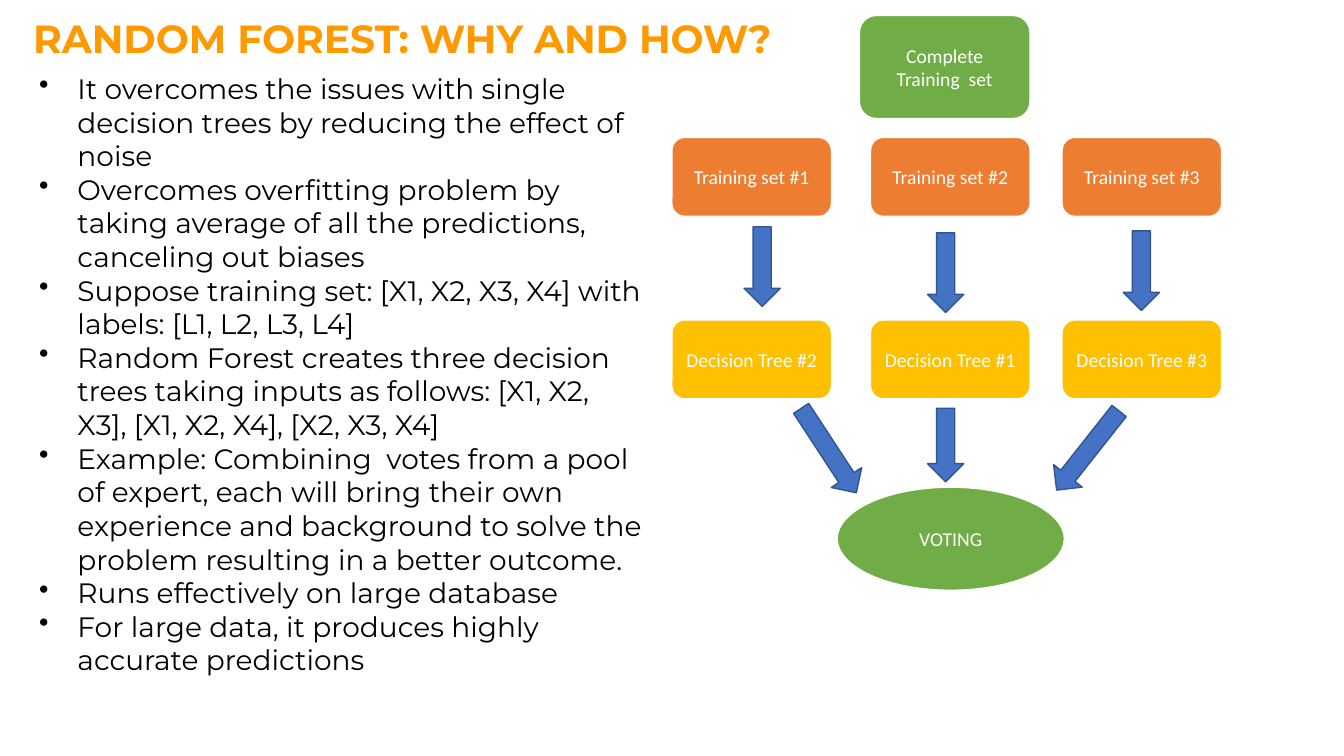
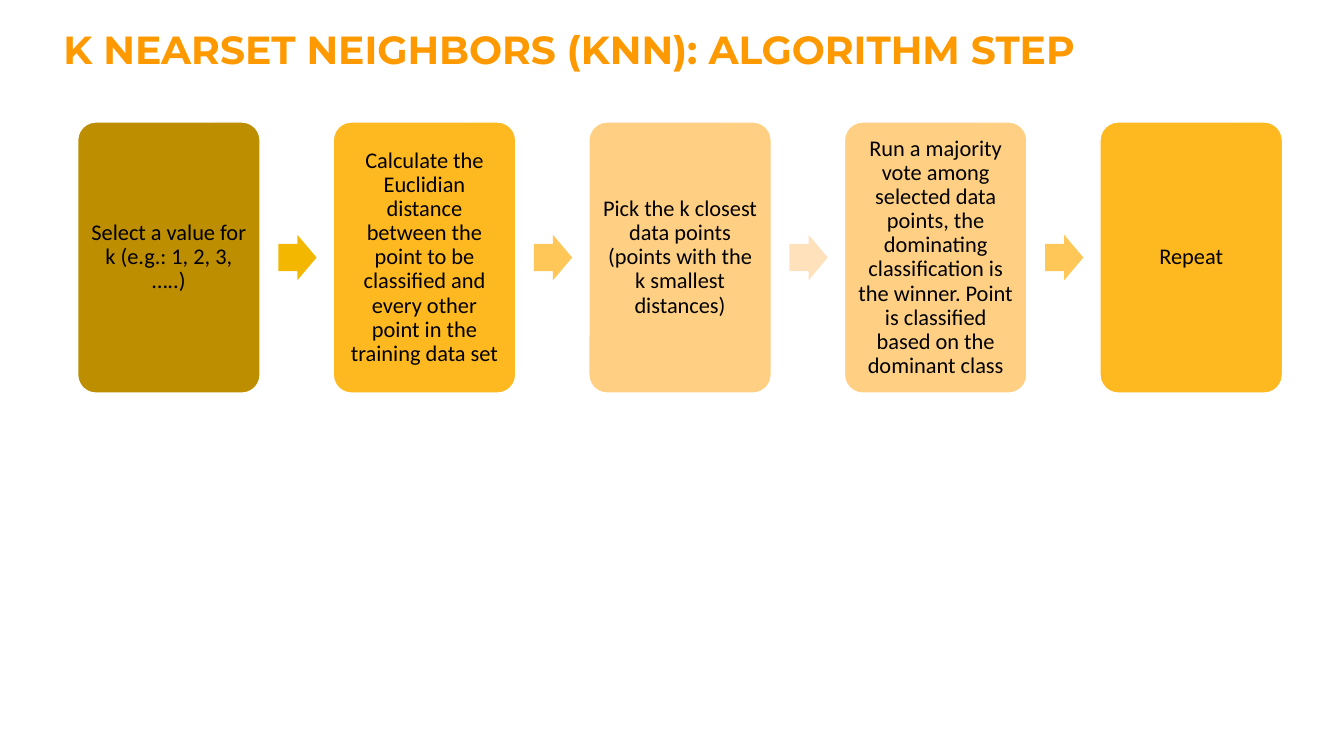
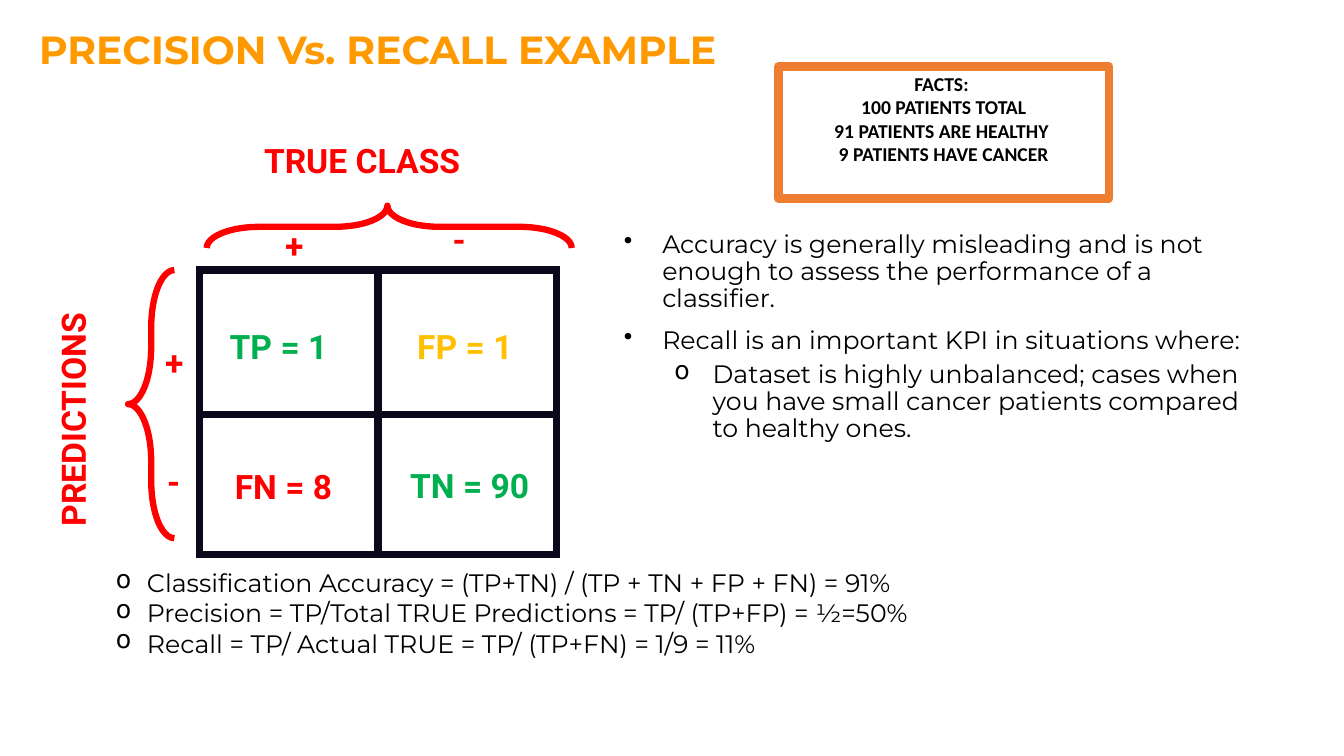
from lxml.etree import SubElement
from pptx import Presentation
from pptx.dml.color import RGBColor
from pptx.enum.shapes import MSO_SHAPE
from pptx.enum.text import MSO_ANCHOR, PP_ALIGN
from pptx.oxml import parse_xml
from pptx.oxml.ns import nsdecls, qn
from pptx.util import Emu, Pt

PX = 9144  # one px is a hundredth of an inch
COLORS = {
    "title": "FF9900", "black": "000000", "white": "FFFFFF", "grid": "0A091B",
    "green": "70AD47", "orange": "ED7D31", "gold": "FFC000",
    "blue": "4472C4", "navy": "325491", "red": "FF0000", "true": "00B050",
    "ochre": "BD8E00", "amber": "FFB920", "peach": "FFD083",
    "arrow_gold": "F4B700", "arrow_amber": "FFC758", "arrow_peach": "FFE2BC",
}


def px(n):
    return Emu(round(n * PX))


def rgb(name):
    return RGBColor.from_string(COLORS[name])


def write(sp, text, size=18, font="Calibri", color="black", bold=False,
          align=PP_ALIGN.LEFT, anchor=MSO_ANCHOR.TOP, inset=None,
          bullet=None, spacing=None):
    """Fill a shape with one paragraph per line of text.

    bullet is (character, level, left, hanging), or a list with one per line.
    """
    tf = sp.text_frame
    tf.word_wrap = True
    tf.vertical_anchor = anchor
    if inset is not None:
        tf.margin_left = tf.margin_right = px(inset)
        tf.margin_top = tf.margin_bottom = px(inset)
    lines = text.split("\n")
    bullets = bullet if isinstance(bullet, list) else [bullet] * len(lines)
    for i, (line, mark) in enumerate(zip(lines, bullets)):
        p = tf.paragraphs[0] if i == 0 else tf.add_paragraph()
        if mark:
            char, level, left, hanging = mark
            pPr = p._p.get_or_add_pPr()
            pPr.set("marL", str(px(left)))
            pPr.set("indent", str(px(-hanging)))
            SubElement(pPr, qn("a:buChar")).set("char", char)
            p.level = level
        p.alignment = align
        if spacing:
            p.line_spacing = spacing
            if i:
                p.space_before = Pt(5 if mark and mark[1] else 10)
        r = p.add_run()
        r.text = line
        r.font.size = Pt(size)
        r.font.name = font
        r.font.bold = bold
        r.font.color.rgb = rgb(color)
    return sp


def add_text(s, x, y, w, h, text, **fmt):
    return write(s.shapes.add_textbox(px(x), px(y), px(w), px(h)), text, **fmt)


def add_shape(s, kind, x, y, w, h, fill=None, line=None, weight=1,
              rotation=0, adj=()):
    sp = s.shapes.add_shape(kind, px(x), px(y), px(w), px(h))
    sp.shadow.inherit = False
    sp.rotation = rotation
    for i, value in enumerate(adj):
        sp.adjustments[i] = value
    if fill:
        sp.fill.solid()
        sp.fill.fore_color.rgb = rgb(fill)
    else:
        sp.fill.background()
    if line:
        sp.line.color.rgb = rgb(line)
        sp.line.width = Pt(weight)
    else:
        sp.line.fill.background()
    return sp


def add_slide(prs, title, x, y):
    s = prs.slides.add_slide(prs.slide_layouts[6])
    add_text(s, x, y, 1140, 77, title, size=28, font="Montserrat",
             color="title", bold=True)
    return s


# Random forest
def forest_diagram(s, x, y):
    def node(kind, dx, dy, w, h, fill, text):
        sp = add_shape(s, kind, x + dx, y + dy, w, h, fill, "white", 1.5)
        write(sp, text, size=14, color="white", align=PP_ALIGN.CENTER,
              anchor=MSO_ANCHOR.MIDDLE)

    box = MSO_SHAPE.ROUNDED_RECTANGLE
    node(box, 186, 0, 170, 103, "green", "Complete Training  set")
    for dx, train, tree in ((0, 1, 2), (197, 2, 1), (387, 3, 3)):
        node(box, dx, 121, 159, 79, "orange", f"Training set #{train}")
        node(box, dx, 302, 159, 79, "gold", f"Decision Tree #{tree}")
    node(MSO_SHAPE.OVAL, 164, 468, 226, 103, "green", "VOTING")

    # Arrows down to the trees, then in to the vote
    for dx, dy, h, rotation in ((72, 210, 79, 0), (254, 216, 79, 0),
                                (448, 214, 79, 0), (138, 382, 100, 326.8),
                                (254, 390, 73, 0), (395, 382, 100, 38.3)):
        add_shape(s, MSO_SHAPE.DOWN_ARROW, x + dx, y + dy, 36, h,
                  "blue", "navy", 1, rotation)


def forest_slide(prs):
    s = add_slide(prs, "RANDOM FOREST: WHY AND HOW?", 23, 9)
    reasons = (
        "It overcomes the issues with single decision trees by reducing the effect of noise",
        "Overcomes overfitting problem by taking average of all the predictions, canceling out biases",
        "Suppose training set: [X1, X2, X3, X4] with labels: [L1, L2, L3, L4]",
        "Random Forest creates three decision trees taking inputs as follows: "
        "[X1, X2, X3], [X1, X2, X4], [X2, X3, X4]",
        "Example: Combining  votes from a pool of expert, each will bring their own experience "
        "and background to solve the problem resulting in a better outcome.",
        "Runs effectively on large database",
        "For large data, it produces highly accurate predictions",
    )
    add_text(s, 29, 66, 621, 616, "\n".join(reasons), size=20,
             font="Montserrat", bullet=("•", 0, 38, 38))
    forest_diagram(s, 666, 15)


# K nearest neighbours
def step_row(s, x, y, w, h, steps):
    step_w, arrow_w, arrow_h = 181, 38, 45
    pitch = (w - step_w) / (len(steps) - 1)
    for i, (text, fill, arrow) in enumerate(steps):
        left = x + i * pitch
        sp = add_shape(s, MSO_SHAPE.ROUNDED_RECTANGLE, left, y, step_w, h,
                       fill, "white", 1, adj=(0.1,))
        write(sp, text, size=16, align=PP_ALIGN.CENTER,
              anchor=MSO_ANCHOR.MIDDLE, inset=7, spacing=0.9)
        if arrow:
            add_shape(s, MSO_SHAPE.RIGHT_ARROW, left + step_w + 18,
                      y + (h - arrow_h) / 2, arrow_w, arrow_h, arrow,
                      adj=(0.6, 0.5))


def knn_slide(prs):
    s = add_slide(prs, "K NEARSET NEIGHBORS (KNN): ALGORITHM STEP", 53, 20)
    step_row(s, 77, 121, 1195, 269, (
        ("Select a value for k (e.g.: 1, 2, 3, …..)", "ochre", "arrow_gold"),
        ("Calculate the Euclidian distance between the point to be classified "
         "and every other point in the training data set", "amber", "arrow_amber"),
        ("Pick the k closest data points (points with the k smallest distances)",
         "peach", "arrow_peach"),
        ("Run a majority vote among selected data points, the dominating classification "
         "is the winner. Point is classified based on the dominant class",
         "peach", "arrow_amber"),
        ("Repeat", "amber", None),
    ))


# Precision and recall
def add_borders(cell, color, weight):
    tcPr = cell._tc.get_or_add_tcPr()
    for i, side in enumerate(("lnL", "lnR", "lnT", "lnB")):
        tcPr.insert(i, parse_xml(
            f'<a:{side} {nsdecls("a")} w="{Pt(weight)}"><a:solidFill>'
            f'<a:srgbClr val="{COLORS[color]}"/></a:solidFill></a:{side}>'))


def confusion_matrix(s, x, y):
    w, heights = 354, (143, 139)
    table = s.shapes.add_table(2, 2, px(x), px(y), px(w), px(sum(heights))).table
    table.first_row = table.horz_banding = False
    for row, h in zip(table.rows, heights):
        row.height = px(h)
        for cell in row.cells:
            cell.fill.background()
            add_borders(cell, "grid", 6)

    # Braces for predictions and true class
    for dx, dy, bw, bh, rotation, middle in ((-71, 0, 46, 266, 0, 0.5),
                                             (167, -224, 42, 362, 90, 0.505)):
        add_shape(s, MSO_SHAPE.LEFT_BRACE, x + dx, y + dy, bw, bh, None,
                  "red", 4.5, rotation, (1.237, middle))

    # Axis names, signs and counts
    for text, dx, dy, tw, color in (
            ("PREDICTIONS", -251, 114, 250, "red"),
            ("TRUE CLASS", 54, -134, 245, "red"),
            ("+", -44, 66, 40, "red"), ("-", -42, 184, 28, "red"),
            ("+", 75, -50, 40, "red"), ("-", 241, -56, 28, "red"),
            ("TP = 1", 20, 50, 120, "true"), ("FP = 1", 206, 50, 120, "gold"),
            ("FN = 8", 25, 189, 122, "red"), ("TN = 90", 199, 188, 141, "true")):
        label = add_text(s, x + dx, y + dy, tw, 50, text, size=24,
                         font="Roboto", color=color, bold=True)
        if text == "PREDICTIONS":
            label.rotation = 270


def recall_slide(prs):
    s = add_slide(prs, "PRECISION Vs. RECALL EXAMPLE", 29, 20)
    confusion_matrix(s, 198, 268)
    add_text(s, 55, 558, 1156, 101,
             "Classiﬁcation Accuracy = (TP+TN) / (TP + TN + FP + FN) = 91%\n"
             "Precision = TP/Total TRUE Predictions = TP/ (TP+FP) = ½=50%\n"
             "Recall = TP/ Actual TRUE = TP/ (TP+FN) = 1/9 = 11%",
             font="Montserrat", bullet=("o", 1, 81, 31))
    point = ("•", 0, 38, 38)
    add_text(s, 609, 225, 631, 476,
             "Accuracy is generally misleading and is not enough to assess "
             "the performance of a classifier.\n"
             "Recall is an important KPI in situations where:\n"
             "Dataset is highly unbalanced; cases when you have small cancer "
             "patients compared to healthy ones.",
             font="Montserrat", spacing=0.9,
             bullet=[point, point, ("o", 1, 88, 38)])
    facts = add_shape(s, MSO_SHAPE.RECTANGLE, 772, 66, 328, 131, "white", "orange", 6)
    write(facts, "FACTS: \n100 PATIENTS TOTAL\n91 PATIENTS ARE HEALTHY \n"
          "9 PATIENTS HAVE CANCER", size=14, bold=True, align=PP_ALIGN.CENTER)


def main():
    prs = Presentation()
    prs.slide_width, prs.slide_height = px(1333), px(750)
    for build in (forest_slide, knn_slide, recall_slide):
        build(prs)
    prs.save("out.pptx")


if __name__ == "__main__":
    main()
